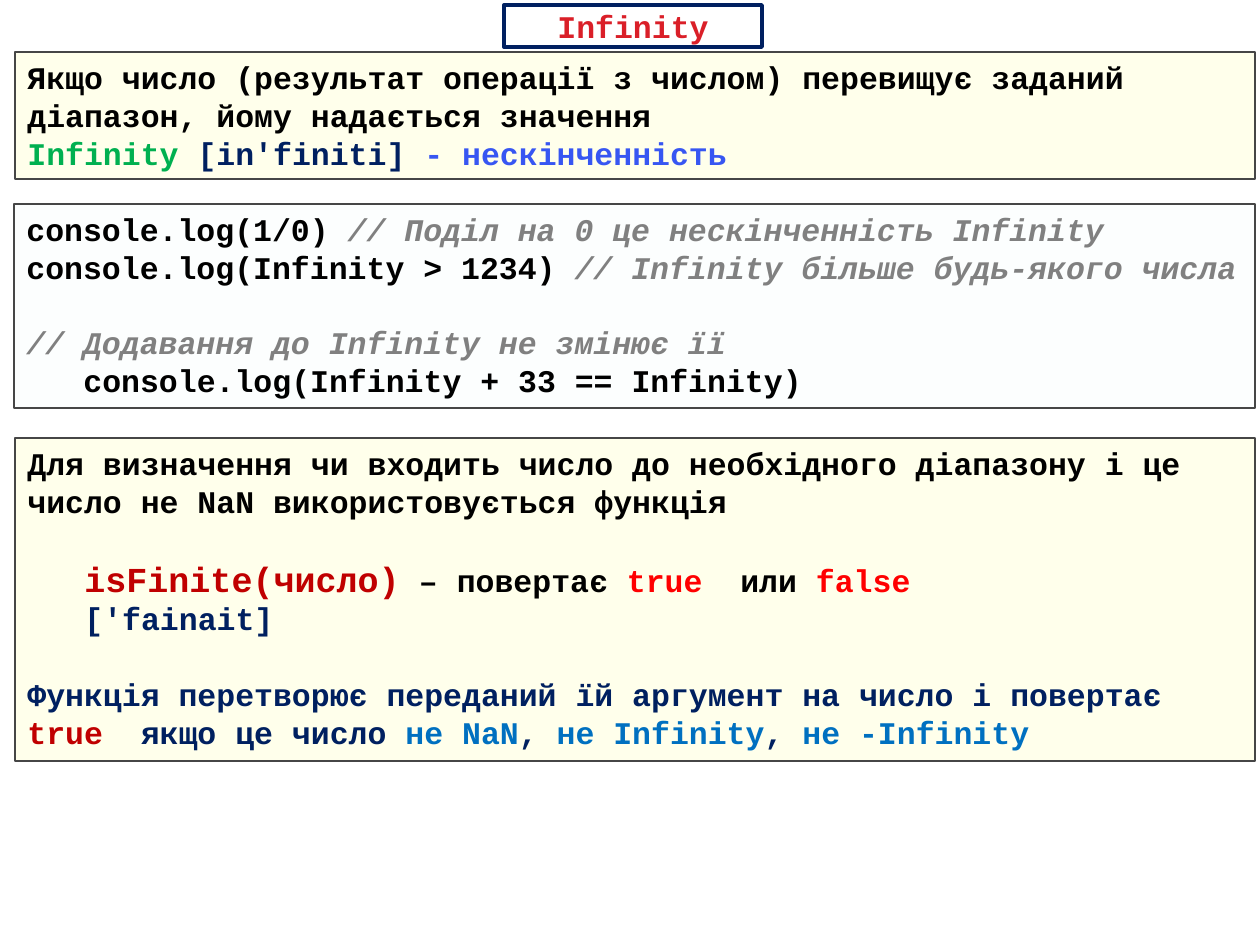
"""Build the slide about Infinity and isFinite."""
from dataclasses import dataclass

from lxml import etree
from pptx import Presentation
from pptx import util as u
from pptx.dml.color import RGBColor
from pptx.enum import shapes, text
from pptx.oxml.ns import qn

PX = 914400 / 126
BLACK, NAVY, GRAY = "000000", "002060", "808080"
RED, DARK_RED, BLUE = "FF0000", "C00000", "0070C0"
BLANK_LINE = 21.5
CODE_INDENT = 57


@dataclass(frozen=True)
class Run:
    """A stretch of text in one format."""
    text: str
    color: str = BLACK
    size: int = 18
    italic: bool = False


@dataclass(frozen=True)
class Line:
    """A paragraph with its gap above in points and its indent in px."""
    runs: tuple[Run, ...]
    before: float = 0
    indent: int = 0


@dataclass(frozen=True)
class Panel:
    """A tinted box of text, placed in px."""
    left: int
    top: int
    width: int
    height: int
    fill: str
    lines: tuple[Line, ...]


PANELS = (
    Panel(15, 52, 1240, 127, "FFFF00", (
        Line((Run("Якщо число (результат операції з числом) перевищує заданий "
                  "діапазон, йому надається значення"),)),
        Line((Run("Infinity ", "00B050"), Run("[in′finiti] ", NAVY),
              Run("- нескінченність", "3756F2"))),
    )),
    Panel(14, 204, 1241, 204, "DEF5FA", (
        Line((Run("console.log(1/0)"),
              Run(" // Поділ на 0 це нескінченність Infinity", GRAY, italic=True))),
        Line((Run("console.log(Infinity > 1234)"),
              Run(" // Infinity більше будь-якого числа", GRAY, italic=True))),
        Line((Run("// Додавання до Infinity не змінює її", GRAY, italic=True),),
             before=BLANK_LINE),
        Line((Run("console.log(Infinity + 33 == Infinity)"),), indent=CODE_INDENT),
    )),
    Panel(15, 438, 1240, 323, "FFFF00", (
        Line((Run("Для визначення чи входить число до необхідного діапазону і це "
                  "число не NaN використовується функція"),)),
        Line((Run("isFinite(число)", DARK_RED, 20), Run(" – повертає "),
              Run("true  ", RED), Run("или "), Run("false", RED)),
             before=BLANK_LINE, indent=CODE_INDENT),
        Line((Run("['fainait]", NAVY),), indent=CODE_INDENT),
        Line((Run("Функція перетворює переданий їй аргумент на число і повертає",
                  NAVY),), before=BLANK_LINE),
        Line((Run("true  ", DARK_RED), Run("якщо це число ", NAVY),
              Run("не NaN", BLUE), Run(", ", NAVY), Run("не Infinity", BLUE),
              Run(", ", NAVY), Run("не -Infinity", BLUE))),
    )),
)


def px(value: int) -> u.Emu:
    """Turn px into EMU."""
    return u.Emu(round(value * PX))


def rgb(value: str) -> RGBColor:
    """Turn a hex string into a colour."""
    return RGBColor.from_string(value)


def add_text(paragraph, content: str, *, color: str = BLACK, size: int = 18,
             italic: bool = False) -> None:
    """Append bold monospaced text to a paragraph."""
    run = paragraph.add_run()
    run.text = content
    font = run.font
    font.name, font.size, font.bold, font.italic = "Courier New", u.Pt(size), True, italic
    font.color.rgb = rgb(color)


def paint(shape, fill: str, line: str, width: float) -> None:
    """Give a shape a solid fill and an outline."""
    shape.fill.solid()
    shape.fill.fore_color.rgb = rgb(fill)
    shape.line.color.rgb = rgb(line)
    shape.line.width = u.Pt(width)


def set_opacity(shape, percent: int) -> None:
    """Make the solid fill of a shape translucent."""
    color = shape.fill._xPr.find(qn("a:solidFill"))[0]
    etree.SubElement(color, qn("a:alpha")).set("val", str(percent * 1000))


def add_title(slide, content: str) -> None:
    """Place the title in its framed box."""
    title = slide.shapes.title
    title.left, title.top, title.width, title.height = map(px, (504, 5, 258, 42))
    paint(title, "FFFFFF", NAVY, 2.25)
    frame = title.text_frame
    frame.auto_size = text.MSO_AUTO_SIZE.NONE
    frame.vertical_anchor = text.MSO_ANCHOR.MIDDLE
    paragraph = frame.paragraphs[0]
    paragraph.alignment = text.PP_ALIGN.CENTER
    add_text(paragraph, content, color="DA1F28")


def add_panel(slide, panel: Panel) -> None:
    """Draw a panel with its lines of text."""
    shape = slide.shapes.add_shape(
        shapes.MSO_SHAPE.RECTANGLE,
        *map(px, (panel.left, panel.top, panel.width, panel.height)))
    shape.shadow.inherit = False
    paint(shape, panel.fill, "464646", 0.75)
    set_opacity(shape, 8)
    frame = shape.text_frame
    frame.word_wrap = True
    frame.vertical_anchor = text.MSO_ANCHOR.TOP
    for index, line in enumerate(panel.lines):
        paragraph = frame.add_paragraph() if index else frame.paragraphs[0]
        paragraph.alignment = text.PP_ALIGN.LEFT
        paragraph.space_before = u.Pt(line.before)
        paragraph._p.get_or_add_pPr().set("marL", str(px(line.indent)))
        for run in line.runs:
            add_text(paragraph, run.text, color=run.color, size=run.size,
                     italic=run.italic)


def main() -> None:
    """Build and save the presentation."""
    presentation = Presentation()
    presentation.slide_width, presentation.slide_height = px(1260), px(945)
    slide = presentation.slides.add_slide(presentation.slide_layouts[5])
    add_title(slide, "Infinity")
    for panel in PANELS:
        add_panel(slide, panel)
    presentation.save("out.pptx")


if __name__ == "__main__":
    main()
